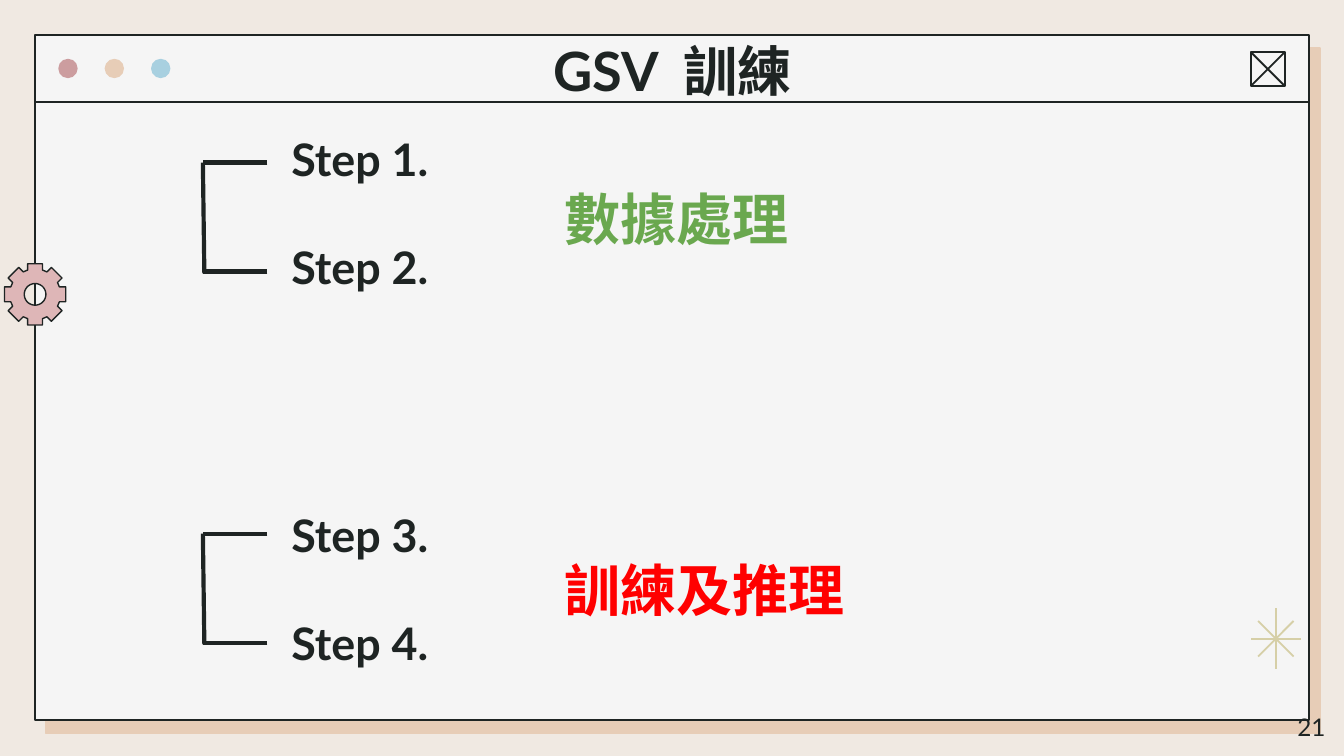
from math import cos, pi, sin

from lxml import etree
from pptx import Presentation
from pptx.dml.color import RGBColor
from pptx.enum.shapes import MSO_CONNECTOR, MSO_SHAPE
from pptx.enum.text import MSO_ANCHOR, PP_ALIGN
from pptx.oxml.ns import qn
from pptx.util import Pt

COLORS = {
    "page": "F0E9E2", "window": "F5F5F5", "ink": "1E2423",
    "rose": "CC9D9F", "sand": "E7CDB7", "sky": "A8D0E0",
    "gear": "DEB6B7", "star": "D6CFA7", "green": "6AA84F", "red": "FF0000",
}


def add_stroke(x1, y1, x2, y2, color="ink", width=1):
    stroke = slide.shapes.add_connector(
        MSO_CONNECTOR.STRAIGHT, Pt(x1), Pt(y1), Pt(x2), Pt(y2))
    stroke.line.color.rgb = RGBColor.from_string(COLORS[color])
    stroke.line.width = Pt(width)
    etree.SubElement(stroke._element.spPr, qn("a:effectLst"))


def add_text(left, top, width, height, lines, size, color="ink", bold=True):
    frame = slide.shapes.add_textbox(
        Pt(left), Pt(top), Pt(width), Pt(height)).text_frame
    frame.word_wrap = True
    frame.margin_left = frame.margin_right = Pt(7.2)
    frame.margin_top = frame.margin_bottom = Pt(7.2)
    frame.text = "\n".join(lines)
    for paragraph in frame.paragraphs:
        for run in paragraph.runs:
            run.font.name = "Lato"
            run.font.size = Pt(size)
            run.font.bold = bold
            run.font.color.rgb = RGBColor.from_string(COLORS[color])
    return frame


prs = Presentation()
prs.slide_width, prs.slide_height = Pt(720), Pt(405)
slide = prs.slides.add_slide(prs.slide_layouts[6])
slide.background.fill.solid()
slide.background.fill.fore_color.rgb = RGBColor.from_string(COLORS["page"])

# Window with a hard offset shadow
window = slide.shapes.add_shape(
    MSO_SHAPE.RECTANGLE, Pt(18.7), Pt(18.7), Pt(682.6), Pt(367.2))
window.fill.solid()
window.fill.fore_color.rgb = RGBColor.from_string(COLORS["window"])
window.line.color.rgb = RGBColor.from_string(COLORS["ink"])
window.line.width = Pt(1)
window.shadow.inherit = False
shadow = etree.SubElement(
    window._element.spPr.find(qn("a:effectLst")), qn("a:outerShdw"),
    dist=str(Pt(9)), dir=str(51 * 60000), algn="bl", rotWithShape="0")
etree.SubElement(shadow, qn("a:srgbClr"), val=COLORS["sand"])

# Title bar: rule, three dots, close box
add_stroke(18.7, 54.5, 701.3, 54.5)
for index, dot_color in enumerate(("rose", "sand", "sky")):
    dot = slide.shapes.add_shape(
        MSO_SHAPE.OVAL, Pt(31.2 + 24.85 * index), Pt(31.5), Pt(10.4), Pt(10.4))
    dot.fill.solid()
    dot.fill.fore_color.rgb = RGBColor.from_string(COLORS[dot_color])
    dot.line.fill.background()
    dot.shadow.inherit = False

close_box = slide.shapes.add_shape(
    MSO_SHAPE.RECTANGLE, Pt(670.2), Pt(28), Pt(18), Pt(18))
close_box.fill.background()
close_box.line.color.rgb = RGBColor.from_string(COLORS["ink"])
close_box.line.width = Pt(1)
close_box.shadow.inherit = False
add_stroke(670.2, 28, 688.2, 46)
add_stroke(688.2, 28, 670.2, 46)

# Gear: eight teeth around a round hole
gear_x, gear_y = 18.8, 157.7
teeth = []
for tooth in range(8):
    angle = tooth * pi / 4
    for x, y in ((13, -4), (16.4, -4), (16.4, 4), (13, 4)):
        teeth.append((Pt(gear_x + x * cos(angle) - y * sin(angle)),
                      Pt(gear_y + x * sin(angle) + y * cos(angle))))
hole = [(Pt(gear_x + 5.8 * cos(-step * pi / 18)),
         Pt(gear_y + 5.8 * sin(-step * pi / 18))) for step in range(36)]
outline = slide.shapes.build_freeform(*teeth[0])
outline.add_line_segments(teeth[1:])
outline.move_to(*hole[0])
outline.add_line_segments(hole[1:])
gear = outline.convert_to_shape()
gear.fill.solid()
gear.fill.fore_color.rgb = RGBColor.from_string(COLORS["gear"])
gear.line.color.rgb = RGBColor.from_string(COLORS["ink"])
gear.line.width = Pt(0.75)
gear.shadow.inherit = False

# Star: four strokes through one centre
star_x, star_y = 683.5, 342.2
for dx, dy in ((0, 16.2), (13.3, 0), (9.5, -9.5), (9.5, 9.5)):
    add_stroke(star_x - dx, star_y - dy, star_x + dx, star_y + dy, "star")

# Steps, spaced in multiples of the line height
steps = add_text(149, 63.4, 356.4, 305.3,
                 [f"Step {number}." for number in range(1, 5)], 24)
line_height = 28.8
for paragraph, skipped in zip(steps.paragraphs[1:], (1, 4, 1)):
    paragraph.space_before = Pt(skipped * line_height)

add_text(289.4, 13, 151.9, 49.7, ["GSV  訓練"], 29)

# Brackets joining each pair of steps
for top in (87.1, 285.9):
    bottom = top + 58.4
    add_stroke(143.3, top, 108.7, top, width=2.25)
    add_stroke(143.3, bottom, 108.7, bottom, width=2.25)
    add_stroke(109.5, bottom + 0.9, 108.7, top, width=2.25)

# Stage names and page number
add_text(295.2, 91.4, 146.2, 51.1, ["數據處理"], 30, "green")
add_text(295.2, 290.2, 203, 51.1, ["訓練及推理"], 30, "red")
page_number = add_text(673.9, 373.7, 43.2, 31, ["21"], 13, bold=False)
page_number.vertical_anchor = MSO_ANCHOR.MIDDLE
page_number.paragraphs[0].alignment = PP_ALIGN.RIGHT

prs.save("out.pptx")
